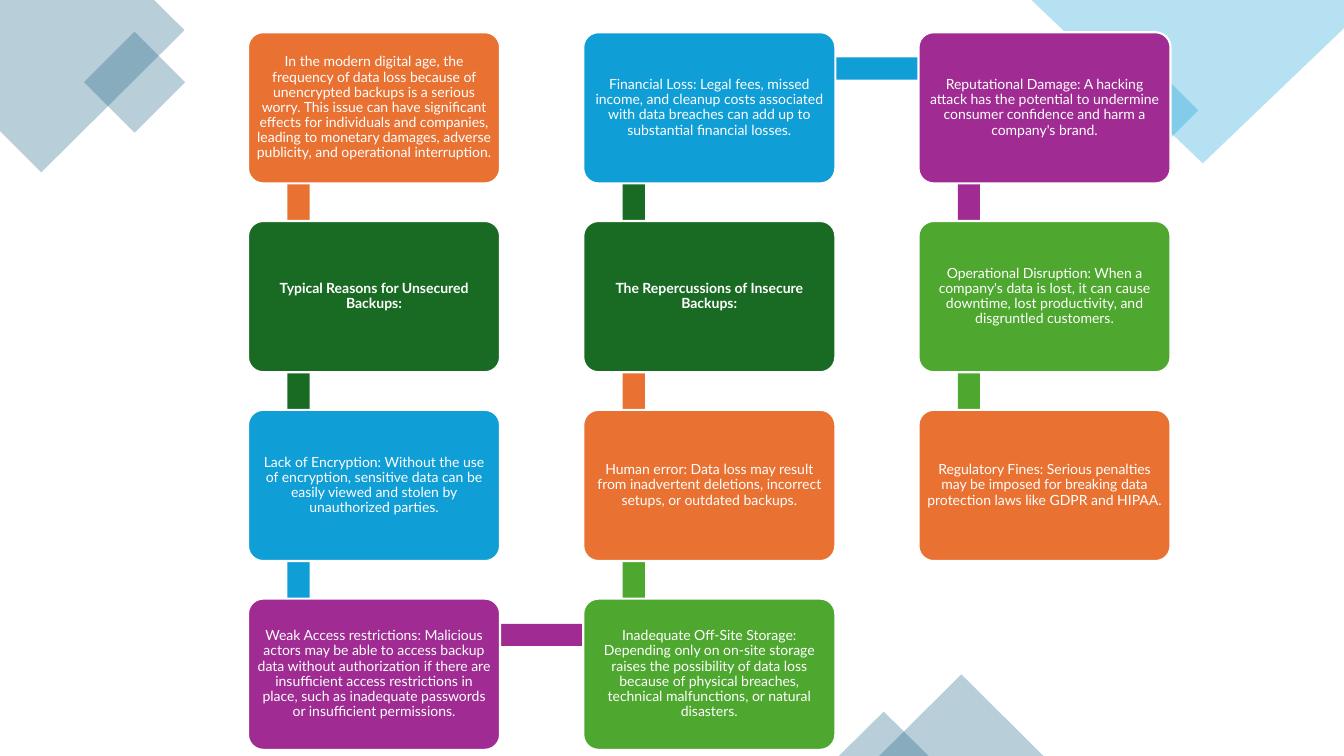
from pptx import Presentation
from pptx.dml.color import RGBColor
from pptx.enum.shapes import MSO_SHAPE
from pptx.enum.text import MSO_ANCHOR, PP_ALIGN
from pptx.oxml.ns import qn
from pptx.util import Inches, Pt
from lxml.etree import SubElement

ORANGE, GREEN, BLUE = "E97132", "196B24", "0F9ED5"
PURPLE, LIME, TEAL, WHITE = "A02B93", "4EA72E", "156082", "FFFFFF"

STEPS = [
    (ORANGE, "In the modern digital age, the frequency of data loss because of unencrypted backups is a serious worry. This issue can have significant effects for individuals and companies, leading to monetary damages, adverse publicity, and operational interruption."),
    (GREEN, "Typical Reasons for Unsecured Backups:"),
    (BLUE, "Lack of Encryption: Without the use of encryption, sensitive data can be easily viewed and stolen by unauthorized parties."),
    (PURPLE, "Weak Access restrictions: Malicious actors may be able to access backup data without authorization if there are insufficient access restrictions in place, such as inadequate passwords or insufficient permissions."),
    (LIME, "Inadequate Off-Site Storage: Depending only on on-site storage raises the possibility of data loss because of physical breaches, technical malfunctions, or natural disasters."),
    (ORANGE, "Human error: Data loss may result from inadvertent deletions, incorrect setups, or outdated backups."),
    (GREEN, "The Repercussions of Insecure Backups:"),
    (BLUE, "Financial Loss: Legal fees, missed income, and cleanup costs associated with data breaches can add up to substantial financial losses."),
    (PURPLE, "Reputational Damage: A hacking attack has the potential to undermine consumer confidence and harm a company's brand."),
    (LIME, "Operational Disruption: When a company's data is lost, it can cause downtime, lost productivity, and disgruntled customers."),
    (ORANGE, "Regulatory Fines: Serious penalties may be imposed for breaking data protection laws like GDPR and HIPAA."),
]
CORNERS = [
    (TEAL, [(153, 0), (0, 0), (0, 130), (41, 171), (183, 30)]),
    (BLUE, [(1333, 0), (1023, 0), (1193, 162), (1333, 28)]),
]
DECOR = [
    (MSO_SHAPE.RECTANGLE, TEAL, (0.98, 0.46, 0.71, 0.71), 315),
    (MSO_SHAPE.RECTANGLE, BLUE, (10.98, 0.72, 0.75, 0.75), 315),
    (MSO_SHAPE.ISOSCELES_TRIANGLE, TEAL, (8.72, 6.69, 1.63, 0.81), 0),
    (MSO_SHAPE.ISOSCELES_TRIANGLE, TEAL, (8.32, 7.06, 0.89, 0.44), 0),
]
ROWS = 4
LEFT, TOP = 2.46, 0.32
WIDE, HIGH = 2.5, 1.5
STEP_X, STEP_Y = 3.325, 1.873
BAR = 0.22

deck = Presentation()
deck.slide_width, deck.slide_height = Inches(13.33), Inches(7.5)
slide = deck.slides.add_slide(deck.slide_layouts[6])


def paint(shape, color, alpha=None):
    shape.shadow.inherit = False
    shape.fill.solid()
    shape.fill.fore_color.rgb = RGBColor.from_string(color)
    shape.line.fill.background()
    if alpha:
        tint = shape.fill._xPr.find(qn("a:solidFill"))[0]
        SubElement(tint, qn("a:alpha")).set("val", str(alpha * 1000))


def add(kind, color, box, alpha=None):
    shape = slide.shapes.add_shape(kind, *map(Inches, box))
    paint(shape, color, alpha)
    return shape


def place(i):
    col, row = divmod(i, ROWS)
    if col % 2:
        row = ROWS - 1 - row
    return LEFT + col * STEP_X, TOP + row * STEP_Y


def link(i, color):
    (x, y), (next_x, next_y) = place(i), place(i + 1)
    if next_x > x:
        box = x + 0.51, y + 0.25, STEP_X, BAR
    else:
        box = x + 0.39, min(y, next_y) + 0.37, BAR, STEP_Y
    add(MSO_SHAPE.RECTANGLE, color, box)


def card(i, color, text):
    shape = add(MSO_SHAPE.ROUNDED_RECTANGLE, color, (*place(i), WIDE, HIGH))
    shape.adjustments[0] = 0.1
    shape.line.color.rgb = RGBColor.from_string(WHITE)
    shape.line.width = Pt(1.5)
    frame = shape.text_frame
    frame.word_wrap = True
    frame.vertical_anchor = MSO_ANCHOR.MIDDLE
    frame.margin_left = frame.margin_right = Inches(0.04)
    frame.margin_top = frame.margin_bottom = Inches(0.04)
    para = frame.paragraphs[0]
    para.text = text
    para.alignment = PP_ALIGN.CENTER
    para.line_spacing = 0.9
    para.space_after = Pt(3.5)
    font = para.font
    font.name, font.size = "Lato", Pt(10)
    font.bold = text.endswith(":")
    font.color.rgb = RGBColor.from_string(WHITE)


for color, points in CORNERS:
    pen = slide.shapes.build_freeform(*points[0], scale=Inches(0.01))
    pen.add_line_segments(points[1:], close=True)
    paint(pen.convert_to_shape(), color, 30)

for kind, color, box, turn in DECOR:
    add(kind, color, box, 30).rotation = turn

for i, (color, text) in enumerate(STEPS):
    if i + 1 < len(STEPS):
        link(i, color)
    card(i, color, text)

deck.save("out.pptx")
